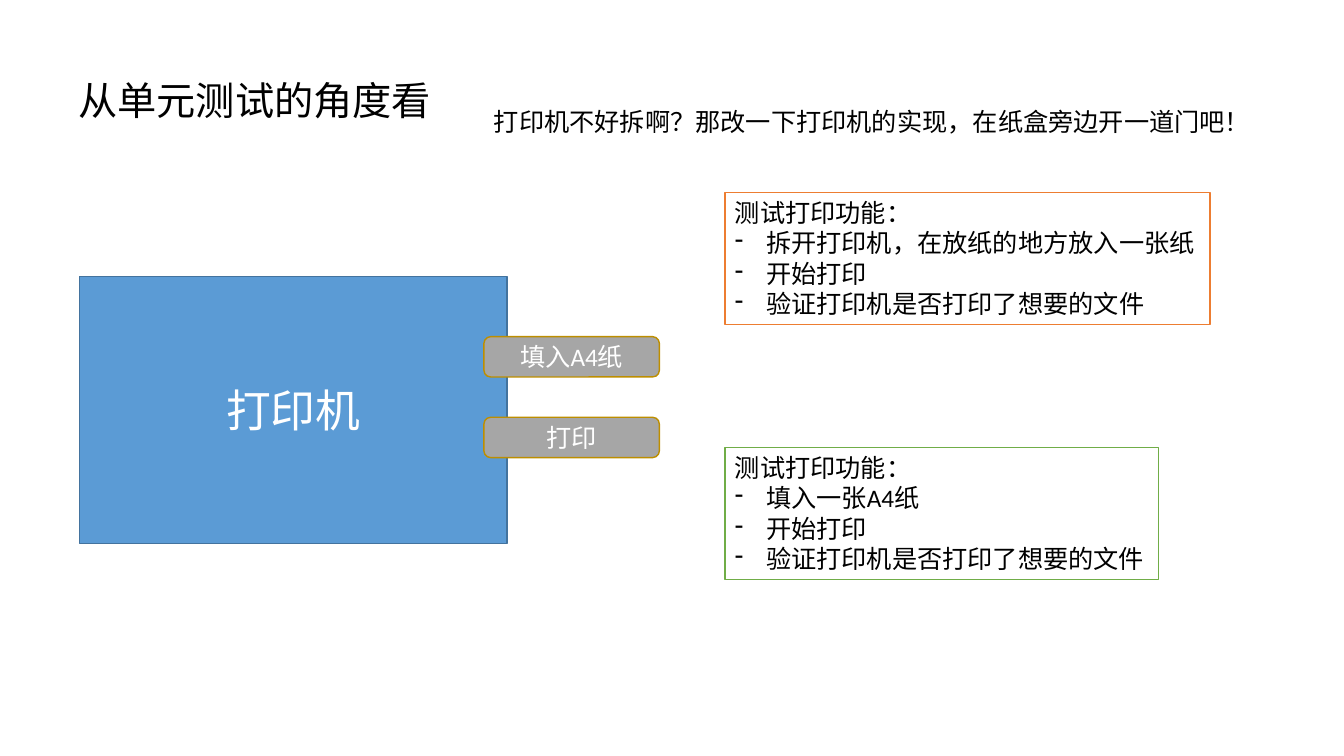
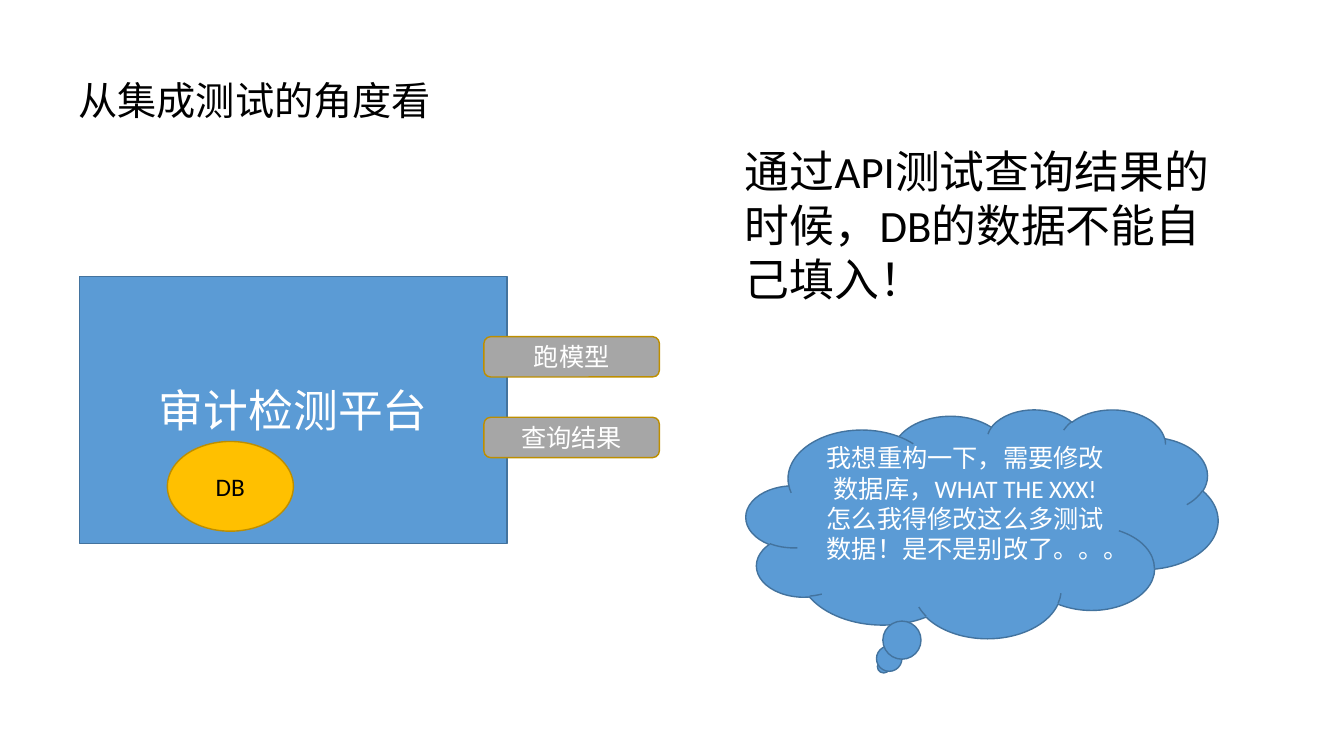
"""Build two slides that compare unit and integration testing."""
from dataclasses import dataclass
from typing import Any

from lxml import etree
from pptx import Presentation
from pptx import util as u
from pptx.dml.color import RGBColor
from pptx.enum import lang, shapes, text
from pptx.oxml import ns

PX = 9144
FONT = "Calibri"
BLACK = RGBColor(0x00, 0x00, 0x00)
WHITE = RGBColor(0xFF, 0xFF, 0xFF)
BLUE = RGBColor(0x5B, 0x9B, 0xD5)
DARK_BLUE = RGBColor(0x43, 0x73, 0x9E)
GREY = RGBColor(0xA6, 0xA6, 0xA6)
GOLD = RGBColor(0xFF, 0xC0, 0x00)
DARK_GOLD = RGBColor(0xBD, 0x8E, 0x00)
ORANGE = RGBColor(0xED, 0x7D, 0x31)
GREEN = RGBColor(0x70, 0xAD, 0x47)
SHAPE = shapes.MSO_SHAPE
BULLET_INDENT = 31
BUTTON_TOP, BUTTON_STEP = 334, 80


@dataclass(frozen=True)
class Area:
    """Hold a rectangle in px."""
    left: int
    top: int
    width: int
    height: int

    def emu(self) -> tuple[int, ...]:
        """Return the rectangle in EMU."""
        return tuple(n * PX for n in (self.left, self.top, self.width, self.height))


@dataclass(frozen=True)
class TestCase:
    """Describe one outlined list of test steps."""
    area: Area
    outline: RGBColor
    steps: tuple[str, ...]


TEST_CASES = (
    TestCase(Area(719, 191, 481, 131), ORANGE,
             ("拆开打印机，在放纸的地方放入一张纸", "开始打印", "验证打印机是否打印了想要的文件")),
    TestCase(Area(719, 444, 430, 131), GREEN,
             ("填入一张A4纸", "开始打印", "验证打印机是否打印了想要的文件")),
)


def add_bullet(para: Any) -> None:
    """Give a paragraph a hanging dash."""
    props = para._p.get_or_add_pPr()
    props.set("marL", str(BULLET_INDENT * PX))
    props.set("indent", str(-BULLET_INDENT * PX))
    etree.SubElement(props, ns.qn("a:buChar")).set("char", "-")


def write(box: Any, *lines: str, size: int = 18, color: RGBColor = BLACK,
          centred: bool = False, wrap: bool = True, bulleted: bool = False) -> None:
    """Fill a box with formatted lines, the first of which has no bullet."""
    frame = box.text_frame
    frame.word_wrap = wrap
    frame.vertical_anchor = text.MSO_ANCHOR.MIDDLE if centred else text.MSO_ANCHOR.TOP
    for index, line in enumerate(lines):
        para = frame.add_paragraph() if index else frame.paragraphs[0]
        para.alignment = text.PP_ALIGN.CENTER if centred else text.PP_ALIGN.LEFT
        if bulleted and index:
            add_bullet(para)
        span = para.add_run()
        span.text = line
        span.font.name = FONT
        span.font.size = u.Pt(size)
        span.font.color.rgb = color
        span.font.language_id = lang.MSO_LANGUAGE_ID.SIMPLIFIED_CHINESE


def add_box(parent: Any, kind: Any, area: Area, fill: RGBColor, outline: RGBColor) -> Any:
    """Add a filled and outlined shape."""
    box = parent.shapes.add_shape(kind, *area.emu())
    box.shadow.inherit = False
    box.fill.solid()
    box.fill.fore_color.rgb = fill
    box.line.color.rgb = outline
    box.line.width = u.Pt(1)
    return box


def add_label(page: Any, area: Area, label: str, size: int, wrap: bool = False) -> None:
    """Add plain text that sizes its box."""
    box = page.shapes.add_textbox(*area.emu())
    write(box, label, size=size, wrap=wrap)
    box.text_frame.auto_size = text.MSO_AUTO_SIZE.SHAPE_TO_FIT_TEXT


def add_machine(page: Any, name: str, buttons: tuple[str, ...]) -> None:
    """Add a system block with its interface buttons."""
    group = page.shapes.add_group_shape()
    body = add_box(group, SHAPE.RECTANGLE, Area(79, 274, 424, 265), BLUE, DARK_BLUE)
    write(body, name, size=32, color=WHITE, centred=True)
    for index, label in enumerate(buttons):
        area = Area(480, BUTTON_TOP + index * BUTTON_STEP, 174, 40)
        button = add_box(group, SHAPE.ROUNDED_RECTANGLE, area, GREY, DARK_GOLD)
        write(button, label, color=WHITE, centred=True)


def add_page(deck: Any, title: str, machine: str, buttons: tuple[str, ...]) -> Any:
    """Add a slide with the shared title and system block."""
    page = deck.slides.add_slide(deck.slide_layouts[6])
    add_machine(page, machine, buttons)
    add_label(page, Area(68, 71, 374, 57), title, 28)
    return page


def build_unit_page(deck: Any) -> None:
    """Build the unit test slide."""
    page = add_page(deck, "从单元测试的角度看", "打印机", ("填入A4纸", "打印"))
    group = page.shapes.add_group_shape()
    for case in TEST_CASES:
        box = add_box(group, SHAPE.RECTANGLE, case.area, WHITE, case.outline)
        write(box, "测试打印功能：", *case.steps, wrap=False, bulleted=True)
        box.text_frame.auto_size = text.MSO_AUTO_SIZE.SHAPE_TO_FIT_TEXT
    add_label(page, Area(480, 101, 778, 40),
              "打印机不好拆啊？那改一下打印机的实现，在纸盒旁边开一道门吧！", 18)


def build_integration_page(deck: Any) -> None:
    """Build the integration test slide."""
    page = add_page(deck, "从集成测试的角度看", "审计检测平台", ("跑模型", "查询结果"))
    add_label(page, Area(729, 138, 490, 226),
              "通过API测试查询结果的时候，DB的数据不能自己填入！", 32, wrap=True)
    database = add_box(page, SHAPE.OVAL, Area(166, 438, 125, 89), GOLD, DARK_GOLD)
    write(database, "DB", centred=True)
    thought = add_box(page, SHAPE.CLOUD_CALLOUT, Area(740, 406, 468, 227), BLUE, DARK_BLUE)
    write(thought, "我想重构一下，需要修改数据库，WHAT THE XXX! 怎么我得修改这么多测试数据！是不是别改了。。。",
          color=WHITE, centred=True)
    thought.text_frame.margin_bottom = 35 * PX


def main() -> None:
    """Build and save the deck."""
    deck = Presentation()
    deck.slide_width, deck.slide_height = 1333 * PX, 750 * PX
    build_unit_page(deck)
    build_integration_page(deck)
    deck.save("out.pptx")


if __name__ == "__main__":
    main()
